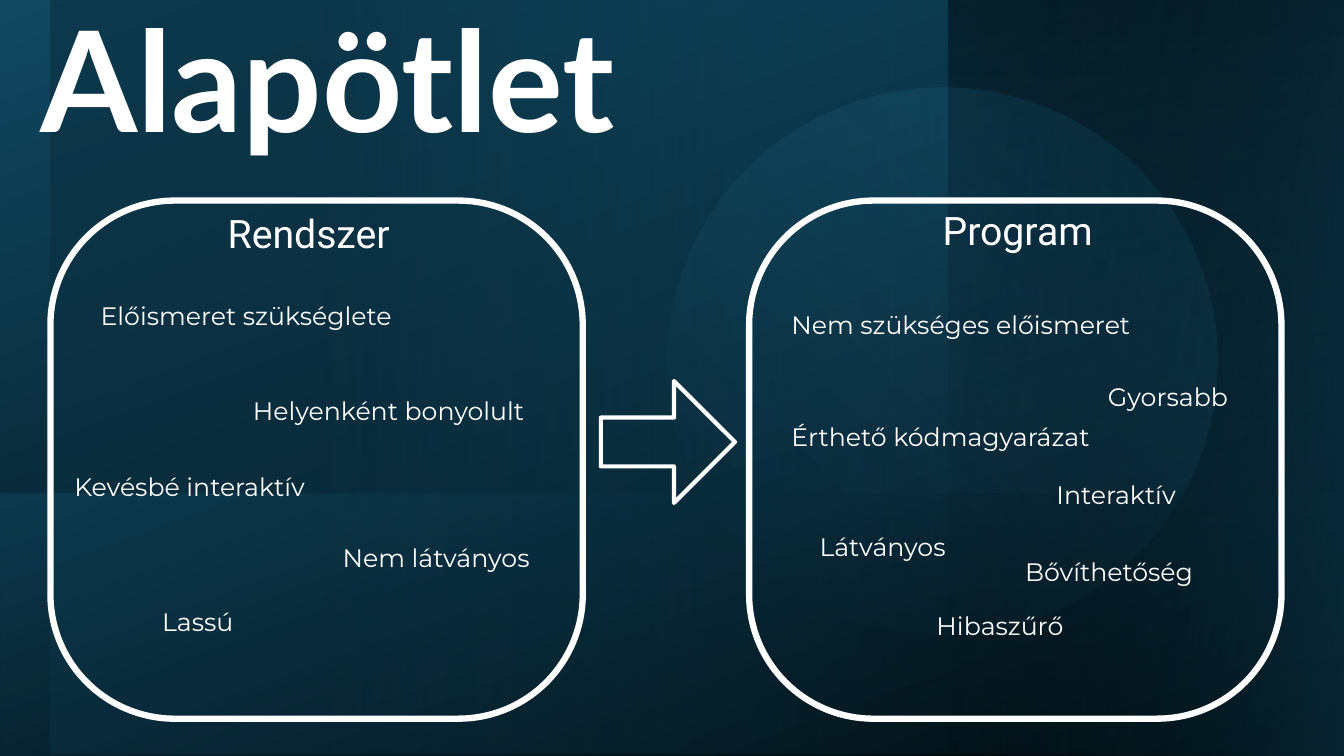
from pptx import Presentation
from pptx.dml.color import RGBColor
from pptx.enum.shapes import MSO_SHAPE
from pptx.enum.text import MSO_ANCHOR
from pptx.oxml.ns import qn
from pptx.util import Inches, Pt
from lxml.etree import SubElement

WHITE = RGBColor(0xFF, 0xFF, 0xFF)
BLACK = RGBColor(0x00, 0x00, 0x00)
NAVY = RGBColor(0x10, 0x48, 0x62)
DEEP = RGBColor(0x0B, 0x30, 0x41)
TEAL = RGBColor(0x15, 0x60, 0x82)
SKY = RGBColor(0x46, 0xB1, 0xE1)

WIDTH, HEIGHT = 13.33, 7.5
PANEL_TOP, PANEL_WIDTH, PANEL_HEIGHT = 1.99, 5.28, 5.14
LABEL_HEIGHT = 0.4
RECTANGLE, OVAL = MSO_SHAPE.RECTANGLE, MSO_SHAPE.OVAL

# (box, kind, rotation, mirrored, angle, stops as (percent, colour, opacity))
BACKDROP = [
    ((0, 0, WIDTH, HEIGHT), RECTANGLE, 0, False, 250, [(0, BLACK, 100), (100, NAVY, 100)]),
    ((0.5, 0, 12.85, 7.48), RECTANGLE, 180, True, 0, [(21, DEEP, 61), (100, TEAL, 0)]),
    ((9.41, 0, 3.95, HEIGHT), RECTANGLE, 0, False, 270, [(0, NAVY, 0), (99, BLACK, 41)]),
    ((6.63, 0.85, 5.43, 5.46), OVAL, 254.6, False, 240, [(0, TEAL, 24), (79, SKY, 0)]),
    ((0.01, 4.9, 13.32, 2.6), RECTANGLE, 180, True, 290, [(0, NAVY, 50), (99, BLACK, 34)]),
    ((7.62, 1.79, HEIGHT, 3.93), RECTANGLE, 270, True, 260, [(0, NAVY, 50), (99, BLACK, 0)]),
]

PANELS = [
    {
        "left": 0.5,
        "heading": ("Rendszer", 2.16, 2.03),
        "labels": [
            ("Előismeret szükséglete", 0.9, 2.93, 3.47),
            ("Helyenként bonyolult", 2.41, 3.87, 3.47),
            ("Kevésbé interaktív", 0.64, 4.63, 3.5),
            ("Nem látványos", 3.3, 5.33, 3.3),
            ("Lassú", 1.51, 5.97, 1.63),
        ],
    },
    {
        "left": 7.43,
        "heading": ("Program", 9.25, 2),
        "labels": [
            ("Nem szükséges előismeret", 7.75, 3.02, 4.21),
            ("Gyorsabb", 10.89, 3.73, 1.52),
            ("Érthető kódmagyarázat", 7.75, 4.13, 4.21),
            ("Interaktív", 10.38, 4.71, 1.78),
            ("Látványos", 8.03, 5.22, 2.25),
            ("Bővíthetőség", 10.07, 5.47, 2.03),
            ("Hibaszűrő", 9.19, 6.01, 1.96),
        ],
    },
]


def add_plain_shape(slide, kind, box):
    shape = slide.shapes.add_shape(kind, *map(Inches, box))
    shape.shadow.inherit = False
    return shape


def add_backdrop(slide, box, kind, rotation, mirrored, angle, stops):
    shape = add_plain_shape(slide, kind, box)
    shape.line.fill.background()
    shape.rotation = rotation
    if mirrored:
        shape._element.spPr.find(qn("a:xfrm")).set("flipH", "1")
    shape.fill.gradient()
    shape.fill.gradient_angle = (360 - angle) % 360
    for stop, (percent, colour, _) in zip(shape.fill.gradient_stops, stops):
        stop.position = percent / 100
        stop.color.rgb = colour
    colours = shape._element.spPr.findall(".//" + qn("a:srgbClr"))
    for colour, (_, _, opacity) in zip(colours, stops):
        SubElement(colour, qn("a:alpha"), val=str(opacity * 1000))


def add_outline(slide, kind, box, weight, adjustments):
    shape = add_plain_shape(slide, kind, box)
    shape.fill.background()
    shape.line.color.rgb = WHITE
    shape.line.width = Pt(weight)
    for index, value in enumerate(adjustments):
        shape.adjustments[index] = value


def add_text(slide, text, box, size, font, bold=False):
    frame = slide.shapes.add_textbox(*map(Inches, box)).text_frame
    frame.word_wrap = True
    paragraph = frame.paragraphs[0]
    paragraph.text = text
    paragraph.font.size = Pt(size)
    paragraph.font.name = font
    paragraph.font.bold = bold
    paragraph.font.color.rgb = WHITE
    return frame


def main():
    presentation = Presentation()
    presentation.slide_width = Inches(WIDTH)
    presentation.slide_height = Inches(HEIGHT)
    slide = presentation.slides.add_slide(presentation.slide_layouts[6])

    for layer in BACKDROP:
        add_backdrop(slide, *layer)

    title = add_text(slide, "Alapötlet", (0.3, -0.08, 7.86, 1.74), 100, "Lato", True)
    title.vertical_anchor = MSO_ANCHOR.BOTTOM
    title.paragraphs[0].line_spacing = 0.9

    for panel in PANELS:
        panel_box = (panel["left"], PANEL_TOP, PANEL_WIDTH, PANEL_HEIGHT)
        add_outline(slide, MSO_SHAPE.ROUNDED_RECTANGLE, panel_box, 4.5, [0.24])
        heading, left, top = panel["heading"]
        add_text(slide, heading, (left, top, 2.01, 0.57), 28, "Roboto")
        for label, left, top, width in panel["labels"]:
            add_text(slide, label, (left, top, width, LABEL_HEIGHT), 18, "Montserrat")

    add_outline(slide, MSO_SHAPE.RIGHT_ARROW, (5.96, 3.78, 1.33, 1.21), 3, [0.4, 0.5])
    presentation.save("out.pptx")


if __name__ == "__main__":
    main()
